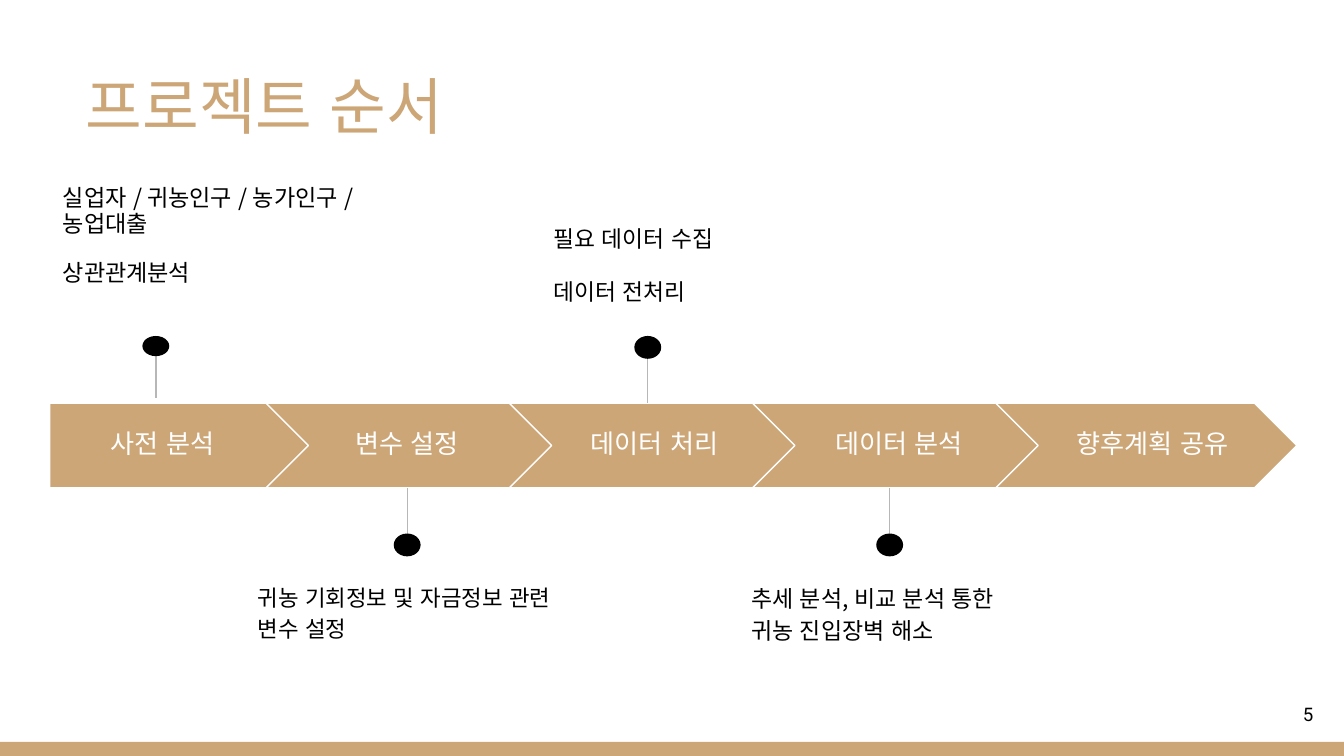
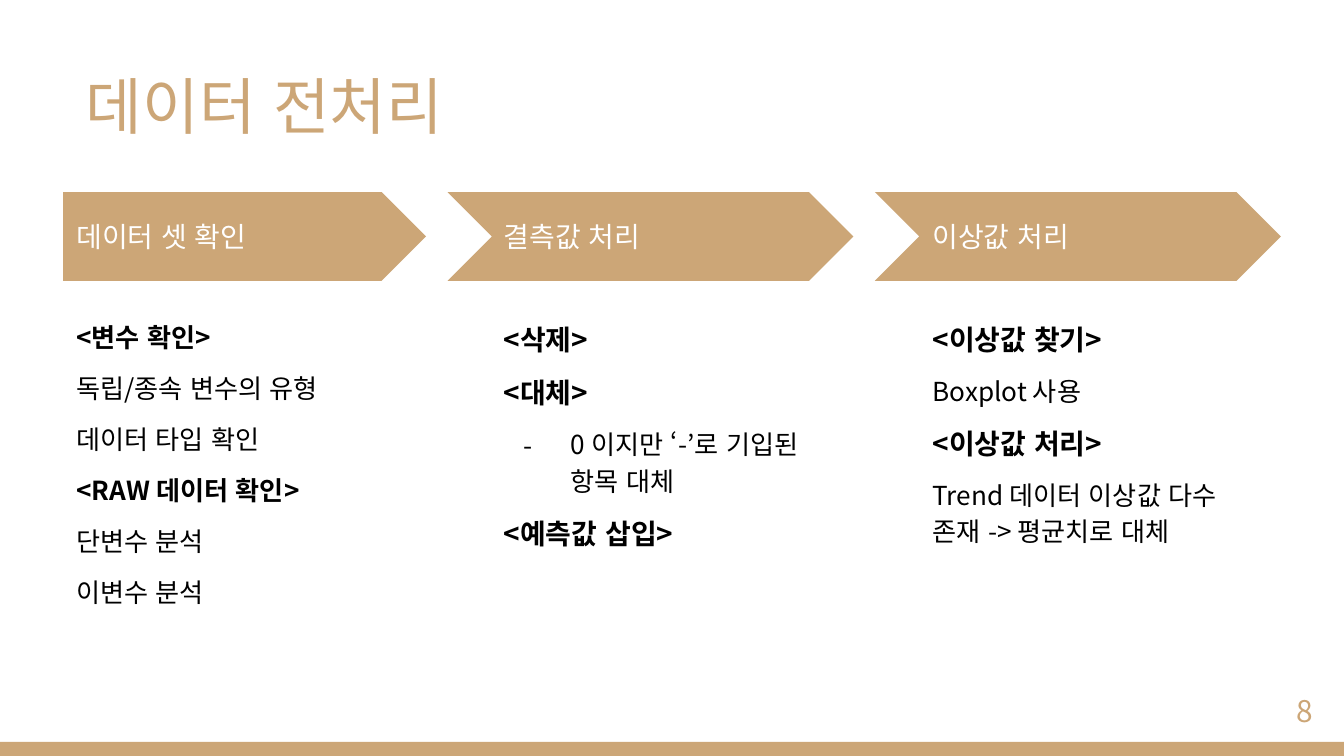
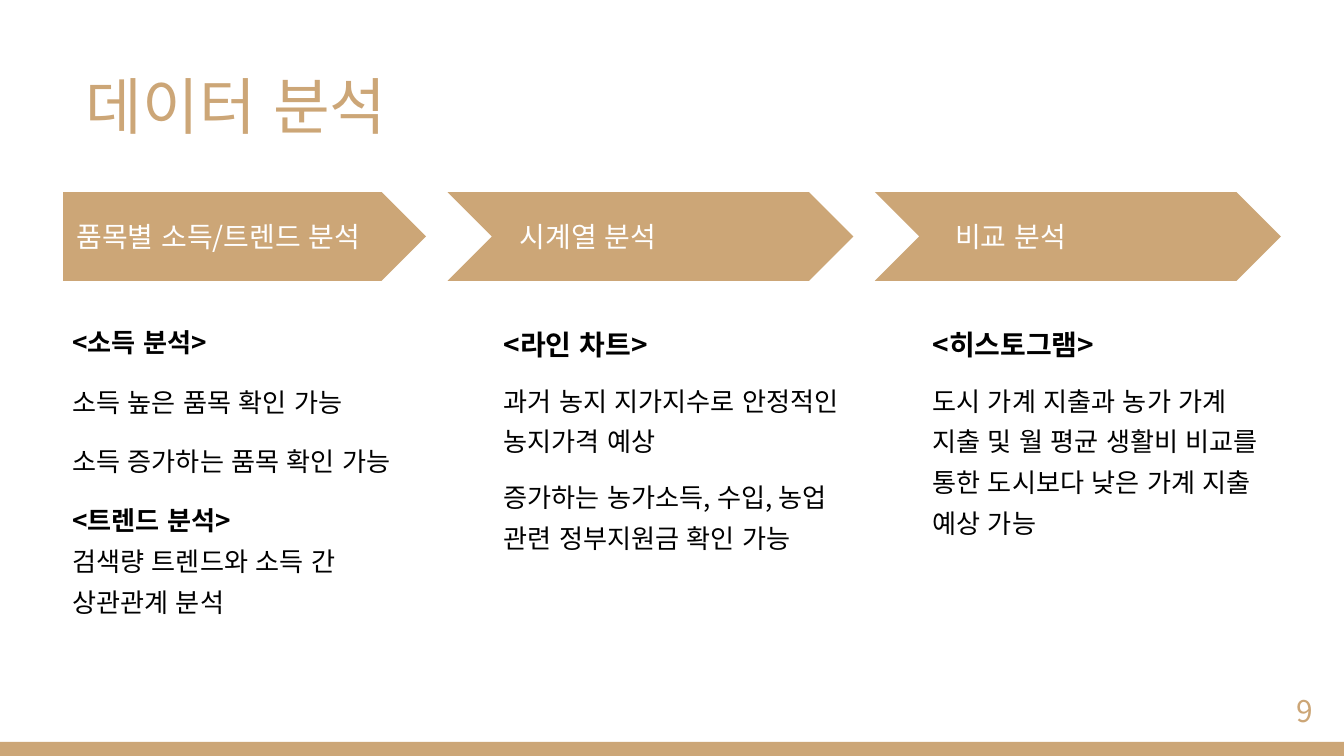
from lxml import etree
from pptx import Presentation
from pptx.dml.color import RGBColor
from pptx.enum.lang import MSO_LANGUAGE_ID
from pptx.enum.shapes import MSO_CONNECTOR, MSO_SHAPE
from pptx.enum.text import MSO_ANCHOR, PP_ALIGN
from pptx.oxml.ns import qn
from pptx.util import Inches, Pt

RECTANGLE, OVAL = MSO_SHAPE.RECTANGLE, MSO_SHAPE.OVAL
PENTAGON, CHEVRON = MSO_SHAPE.PENTAGON, MSO_SHAPE.CHEVRON
STRAIGHT = MSO_CONNECTOR.STRAIGHT
TOP, MIDDLE = MSO_ANCHOR.TOP, MSO_ANCHOR.MIDDLE
LEFT, CENTER, RIGHT = PP_ALIGN.LEFT, PP_ALIGN.CENTER, PP_ALIGN.RIGHT
KOREAN_LANGUAGE = MSO_LANGUAGE_ID.KOREAN

TAN, BLACK, WHITE, GRAY = "CCA677", "000000", "FFFFFF", "B7B7B7"
KOREAN, LATIN = "Noto Sans CJK KR", "Roboto"

STEP_TOP, STEP_HEIGHT = 3, 0.63
FIRST_STEP, STEP_WIDTH, STEP_PITCH = 1.98, 2.24, 1.81
STEPS = [
    ("사전 분석", 0.37, 1.68),
    ("변수 설정", 2.16, 1.74),
    ("데이터 처리", 3.9, 1.94),
    ("데이터 분석", 5.72, 1.94),
    ("향후계획 공유", 7.65, 1.85),
]
PINS = [
    (1.16, 2.5, 0.15, 2.53, 2.96),
    (3.03, 3.97, 0.17, 4.1, 3.63),
    (4.82, 2.5, 0.17, 2.53, 3),
    (6.62, 3.97, 0.17, 4.1, 3.63),
]
NOTES = [
    ((0.37, 1.28, 2.69, 1.06), 12.4, 0.95,
     ["실업자 / 귀농인구 / 농가인구 / 농업대출", "상관관계분석"]),
    ((4.02, 1.54, 2.45, 0.77), 12.2, 1.15, ["필요 데이터 수집", "데이터 전처리"]),
    ((1.82, 4.22, 2.65, 0.77), 12, 1.15, ["귀농 기회정보 및 자금정보 관련 변수 설정"]),
    ((5.49, 4.22, 2.04, 1.02), 12.3, 1.15, ["추세 분석, 비교 분석 통한 귀농 진입장벽 해소"]),
]

ARROWS = [(PENTAGON, 0.47, 2.7), (CHEVRON, 3.33, 3.02), (CHEVRON, 6.51, 3.02)]
COLUMN_PAGES = [
    {
        "title": "데이터 전처리", "number": "8", "line": 1.15,
        "columns": [
            {"label": "데이터 셋 확인", "label_left": 0.47, "left": 0.47, "head": 14, "gap": 8,
             "body": ["<변수 확인>", "독립/종속 변수의 유형", "데이터 타입 확인",
                      "<RAW 데이터 확인>", "단변수 분석", "이변수 분석"]},
            {"label": "결측값 처리", "label_left": 3.65, "left": 3.65, "head": 15, "gap": 8,
             "body": ["<삭제>", "<대체>", "- 0 이지만 ‘-’로 기입된 항목 대체", "<예측값 삽입>"]},
            {"label": "이상값 처리", "label_left": 6.84, "left": 6.84, "head": 15, "gap": 8,
             "body": ["<이상값 찾기>", "Boxplot 사용", "<이상값 처리>",
                      "Trend 데이터 이상값 다수 존재 -> 평균치로 대체"]},
        ],
    },
    {
        "title": "데이터 분석", "number": "9", "line": 1.3,
        "columns": [
            {"label": "품목별 소득/트렌드 분석", "label_left": 0.47, "left": 0.44, "head": 14, "gap": 10,
             "body": ["<소득 분석>", "소득 높은 품목 확인 가능", "소득 증가하는 품목 확인 가능",
                      "<트렌드 분석>\n검색량 트렌드와 소득 간 상관관계 분석"]},
            {"label": "시계열 분석", "label_left": 3.77, "left": 3.65, "head": 15, "gap": 8,
             "body": ["<라인 차트>", "과거 농지 지가지수로 안정적인 농지가격 예상",
                      "증가하는 농가소득, 수입, 농업 관련 정부지원금 확인 가능"]},
            {"label": "비교 분석", "label_left": 7.01, "left": 6.84, "head": 15, "gap": 8,
             "body": ["<히스토그램>",
                      "도시 가계 지출과 농가 가계 지출 및 월 평균 생활비 비교를 통한 "
                      "도시보다 낮은 가계 지출 예상 가능"]},
        ],
    },
]


def color(value):
    return RGBColor.from_string(value)


def add_span(para, text, size, shade, bold=False, font=KOREAN):
    span = para.add_run()
    span.text = text
    span.font.size = Pt(size)
    span.font.bold = bold
    span.font.name = font
    span.font.language_id = KOREAN_LANGUAGE
    span.font.color.rgb = color(shade)
    props = span._r.get_or_add_rPr()
    for script in ("a:ea", "a:cs"):
        etree.SubElement(props, qn(script), typeface=font)


def add_dash(para):
    props = para._p.get_or_add_pPr()
    props.set("marL", str(Inches(0.5)))
    props.set("indent", str(Inches(-0.35)))
    etree.SubElement(props, qn("a:buFont"), typeface=KOREAN)
    etree.SubElement(props, qn("a:buChar"), char="-")


def add_text(page, place, lines, size, shade=BLACK, anchor=TOP, align=LEFT,
             line=1.0, gap=0, head=None, font=KOREAN):
    box = page.shapes.add_textbox(*map(Inches, place))
    frame = box.text_frame
    frame.word_wrap = True
    frame.vertical_anchor = anchor
    frame.margin_left = frame.margin_right = Inches(0.1)
    frame.margin_top = frame.margin_bottom = Inches(0.1)
    for index, text in enumerate(lines):
        para = frame.add_paragraph() if index else frame.paragraphs[0]
        para.alignment = align
        para.line_spacing = line
        para.space_before = Pt(gap if index else 0)
        para.space_after = Pt(gap if index == len(lines) - 1 else 0)
        if text.startswith("- "):
            add_dash(para)
            text = text[2:]
        for number, part in enumerate(text.split("\n")):
            if number:
                para.add_line_break()
            heading = part.startswith("<")
            add_span(para, part, head if heading else size, shade, heading, font)


def add_block(page, kind, place, fill, outline=None):
    shape = page.shapes.add_shape(kind, *map(Inches, place))
    shape.shadow.inherit = False
    shape.fill.solid()
    shape.fill.fore_color.rgb = color(fill)
    if outline:
        shape.line.color.rgb = color(outline)
        shape.line.width = Pt(0.75)
    else:
        shape.line.fill.background()


def add_pin(page, x, dot_top, dot_height, start, end):
    stem = page.shapes.add_connector(
        STRAIGHT, Inches(x), Inches(start), Inches(x), Inches(end))
    stem.line.color.rgb = color(GRAY)
    stem.line.width = Pt(0.75)
    etree.SubElement(stem._element.spPr, qn("a:effectLst"))
    add_block(page, OVAL, (x - 0.1, dot_top, 0.2, dot_height), BLACK)


def add_page(deck, title, number, **number_style):
    page = deck.slides.add_slide(deck.slide_layouts[6])
    page.background.fill.solid()
    page.background.fill.fore_color.rgb = color(WHITE)
    add_block(page, RECTANGLE, (0, 5.52, 10, 0.11), TAN)
    add_text(page, (0.54, 0.33, 4.13, 0.9), [title], 33, TAN, MIDDLE)
    add_text(page, (9.27, 5.1, 0.6, 0.43), [number],
             anchor=MIDDLE, align=RIGHT, **number_style)
    return page


def build_process(deck):
    page = add_page(deck, "프로젝트 순서", "5", size=10, font=LATIN)
    for index, (label, left, width) in enumerate(STEPS):
        if index:
            kind, x, step_width = CHEVRON, FIRST_STEP + (index - 1) * STEP_PITCH, STEP_WIDTH
        else:
            kind, x, step_width = PENTAGON, 0.37, 2.04
        add_block(page, kind, (x, STEP_TOP, step_width, STEP_HEIGHT), TAN, WHITE)
        add_text(page, (left, 3.12, width, 0.4), [label], 14, WHITE, MIDDLE, CENTER, 0.8)
    for pin in PINS:
        add_pin(page, *pin)
    for place, size, line, lines in NOTES:
        add_text(page, place, lines, size, line=line, gap=12)


def build_columns(deck, content):
    page = add_page(deck, content["title"], content["number"], size=16, shade=TAN, line=0.8)
    for (kind, left, width), column in zip(ARROWS, content["columns"]):
        add_block(page, kind, (left, 1.43, width, 0.66), TAN)
        add_text(page, (column["label_left"], 1.59, 2.64, 0.34), [column["label"]],
                 15, WHITE, MIDDLE)
        add_text(page, (column["left"], 2.26, 2.7, 2.9), column["body"], 14,
                 line=content["line"], gap=column["gap"], head=column["head"])


def main():
    deck = Presentation()
    deck.slide_width = Inches(10)
    deck.slide_height = deck.slide_width * 9 // 16
    build_process(deck)
    for content in COLUMN_PAGES:
        build_columns(deck, content)
    deck.save("out.pptx")


if __name__ == "__main__":
    main()
